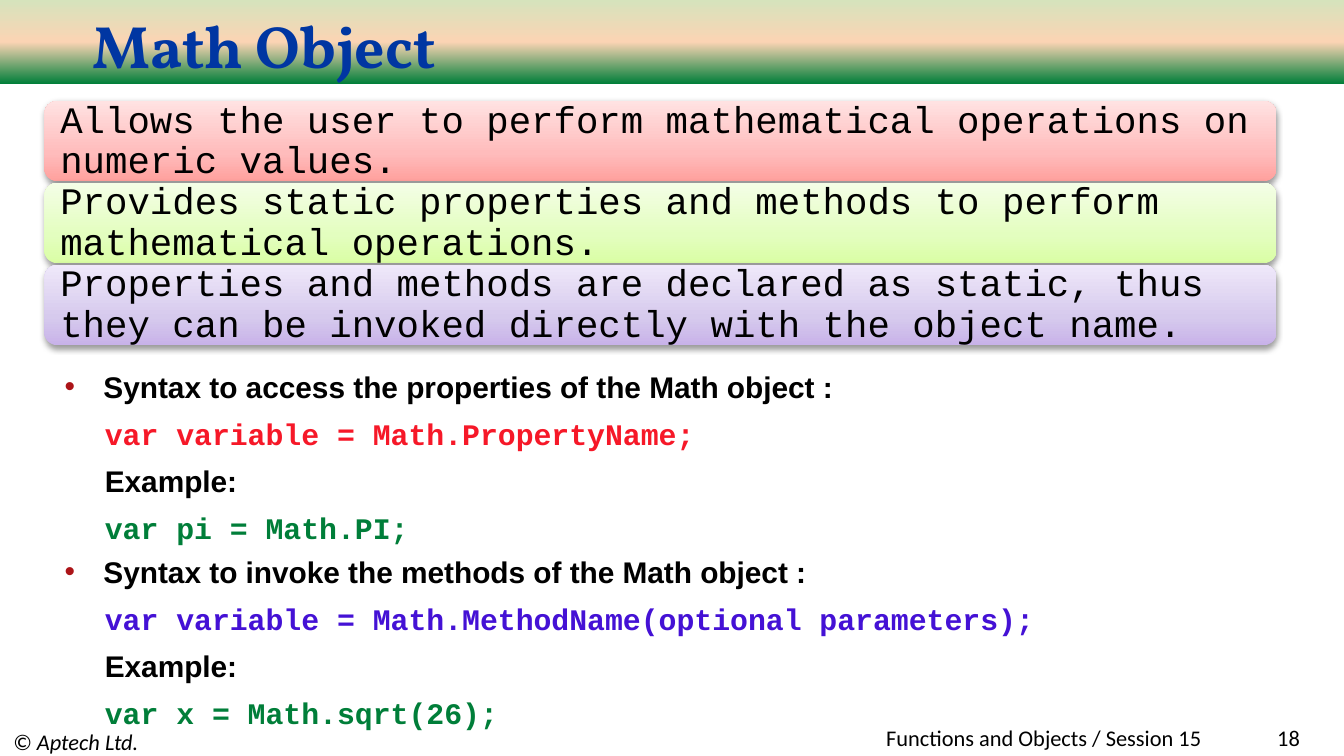
from copy import deepcopy
from dataclasses import dataclass

from lxml import etree
from pptx import Presentation
from pptx.dml.color import RGBColor
from pptx.enum.shapes import MSO_SHAPE as Shape
from pptx.enum.text import MSO_ANCHOR as Anchor, MSO_AUTO_SIZE as AutoSize, PP_ALIGN as Align
from pptx.oxml import parse_xml
from pptx.oxml.ns import nsdecls, qn
from pptx.util import Inches, Pt

SLIDE_WIDTH = Inches(10)
SLIDE_HEIGHT = SLIDE_WIDTH * 9 // 16

BLACK = RGBColor(0x00, 0x00, 0x00)
NAVY = RGBColor(0x00, 0x36, 0xA2)
GREEN = RGBColor(0x00, 0x7E, 0x39)
PEACH = RGBColor(0xFB, 0xD4, 0xB4)
SAGE = RGBColor(0xD6, 0xE3, 0xBC)
RED = RGBColor(0xF6, 0x18, 0x28)
VIOLET = RGBColor(0x44, 0x11, 0xD5)
BULLET = RGBColor(0xAC, 0x14, 0x18)
ROSE = (RGBColor(0xFF, 0xA0, 0x9D), RGBColor(0xFF, 0xBC, 0xBC), RGBColor(0xFF, 0xE2, 0xE2))
LIME = (RGBColor(0xDA, 0xFE, 0xA4), RGBColor(0xE3, 0xFE, 0xBF), RGBColor(0xF4, 0xFE, 0xE6))
LILAC = (RGBColor(0xC8, 0xB2, 0xE9), RGBColor(0xD6, 0xCA, 0xED), RGBColor(0xEF, 0xE8, 0xFA))

SHADOW = (
    f'<a:effectLst {nsdecls("a")}><a:outerShdw blurRad="39400" dist="20300" dir="5400000" rotWithShape="0">'
    '<a:srgbClr val="000000"><a:alpha val="38000"/></a:srgbClr></a:outerShdw></a:effectLst>'
)


@dataclass(frozen=True)
class Fact:
    text: str
    colors: tuple[RGBColor, ...]


@dataclass(frozen=True)
class Syntax:
    heading: str
    usage: str
    usage_color: RGBColor
    example: str
    top: float
    height: float
    heading_align: Align


@dataclass(frozen=True)
class Footer:
    text: str
    left: float
    width: float
    height: float
    align: Align


FACTS = (
    Fact("Allows the user to perform mathematical operations on numeric values.", ROSE),
    Fact("Provides static properties and methods to perform mathematical operations.", LIME),
    Fact("Properties and methods are declared as static, thus they can be invoked directly "
         "with the object name.", LILAC),
)
SYNTAXES = (
    Syntax("Syntax to access the properties of the Math object :",
           "var variable = Math.PropertyName;", RED, "var pi = Math.PI;", 2.69, 1.17, Align.LEFT),
    Syntax("Syntax to invoke the methods of the Math object :",
           "var variable = Math.MethodName(optional parameters);", VIOLET,
           "var x = Math.sqrt(26);", 4.07, 1.35, Align.JUSTIFY),
)
FOOTERS = (
    Footer("© Aptech Ltd.", 0, 3.33, 0.2, Align.LEFT),
    Footer("Functions and Objects / Session 15", 2.5, 6.54, 0.14, Align.RIGHT),
    Footer("18", 8.92, 0.85, 0.14, Align.RIGHT),
)


def place(shape, left: float, top: float, width: float, height: float) -> None:
    shape.left, shape.top = Inches(left), Inches(top)
    shape.width, shape.height = Inches(width), Inches(height)


def style(font, name: str, size: float, color: RGBColor, bold: bool = False) -> None:
    font.name, font.size, font.bold = name, Pt(size), bold
    font.color.rgb = color


def paint(shape, colors: tuple[RGBColor, ...], middle: float) -> None:
    shape.shadow.inherit = False
    shape.line.fill.background()
    shape.fill.gradient()
    shape.fill.gradient_angle = 90
    stop_list = shape._element.spPr.find(qn("a:gradFill")).find(qn("a:gsLst"))
    stop_list.append(deepcopy(stop_list[-1]))
    for stop, position, color in zip(shape.fill.gradient_stops, (0, middle, 1), colors):
        stop.position = position
        stop.color.rgb = color


def add_banner(slide) -> None:
    banner = slide.shapes.add_shape(Shape.RECTANGLE, 0, 0, SLIDE_WIDTH, SLIDE_WIDTH // 16)
    paint(banner, (GREEN, PEACH, SAGE), 0.5)
    slide.shapes._spTree.insert(2, banner._element)


def fill_title(title) -> None:
    place(title, 0.5, 0.16, 9.33, 0.34)
    frame = title.text_frame
    frame.text = "Math Object"
    frame.auto_size = AutoSize.NONE
    frame.vertical_anchor = Anchor.MIDDLE
    frame.margin_left = Inches(0.19)
    heading = frame.paragraphs[0]
    heading.alignment = Align.LEFT
    style(heading.runs[0].font, "Vollkorn", 32, NAVY, True)


def add_fact(slide, fact: Fact, top: float) -> None:
    card = slide.shapes.add_shape(
        Shape.ROUNDED_RECTANGLE, Inches(0.33), Inches(top), Inches(9.17), Inches(0.6))
    paint(card, fact.colors, 0.35)
    properties = card._element.spPr
    properties.replace(properties.find(qn("a:effectLst")), parse_xml(SHADOW))
    frame = card.text_frame
    frame.text = fact.text
    frame.word_wrap = True
    frame.vertical_anchor = Anchor.MIDDLE
    frame.margin_left = frame.margin_right = Inches(0.09)
    statement = frame.paragraphs[0]
    statement.alignment = Align.LEFT
    statement.line_spacing = 0.9
    style(statement.runs[0].font, "Courier New", 20, BLACK)


def set_bullet(paragraph, bulleted: bool) -> None:
    properties = paragraph._p.get_or_add_pPr()
    properties.set("marL", str(Inches(0.5)))
    properties.set("indent", str(Inches(-0.29 if bulleted else 0.01)))
    if not bulleted:
        etree.SubElement(properties, qn("a:buNone"))
        return
    color = etree.SubElement(properties, qn("a:buClr"))
    etree.SubElement(color, qn("a:srgbClr"), val=str(BULLET))
    etree.SubElement(properties, qn("a:buFont"), typeface="Arial")
    etree.SubElement(properties, qn("a:buChar"), char="•")


def fill_syntax(body, syntax: Syntax) -> None:
    place(body, 0.17, syntax.top, 9.33, syntax.height)
    frame = body.text_frame
    lines = (
        (syntax.heading, "Arial", BLACK),
        (syntax.usage, "Courier New", syntax.usage_color),
        ("Example:", "Arial", BLACK),
        (syntax.example, "Courier New", GREEN),
    )
    frame.text = "\n".join(text for text, _, _ in lines)
    frame.auto_size = AutoSize.NONE
    for index, (paragraph, (_, font, color)) in enumerate(zip(frame.paragraphs, lines)):
        first = index == 0
        set_bullet(paragraph, first)
        paragraph.level = 1
        paragraph.alignment = syntax.heading_align if first else Align.JUSTIFY
        paragraph.space_before = Pt(0 if first else 6)
        style(paragraph.runs[0].font, font, 16, color, True)


def add_footer(slide, footer: Footer) -> None:
    box = slide.shapes.add_textbox(
        Inches(footer.left), Inches(5.42), Inches(footer.width), Inches(footer.height))
    frame = box.text_frame
    frame.text = footer.text
    frame.word_wrap = True
    frame.vertical_anchor = Anchor.MIDDLE
    line = frame.paragraphs[0]
    line.alignment = footer.align
    style(line.runs[0].font, "Calibri", 12, BLACK)
    line.runs[0].font.italic = footer.align == Align.LEFT


def main() -> None:
    deck = Presentation()
    deck.slide_width, deck.slide_height = SLIDE_WIDTH, SLIDE_HEIGHT
    slide = deck.slides.add_slide(deck.slide_layouts[3])
    add_banner(slide)
    fill_title(slide.shapes.title)
    for row, fact in enumerate(FACTS):
        add_fact(slide, fact, 0.75 + row * 0.61)
    for index, syntax in enumerate(SYNTAXES, start=1):
        fill_syntax(slide.placeholders[index], syntax)
    for footer in FOOTERS:
        add_footer(slide, footer)
    deck.save("out.pptx")


if __name__ == "__main__":
    main()
